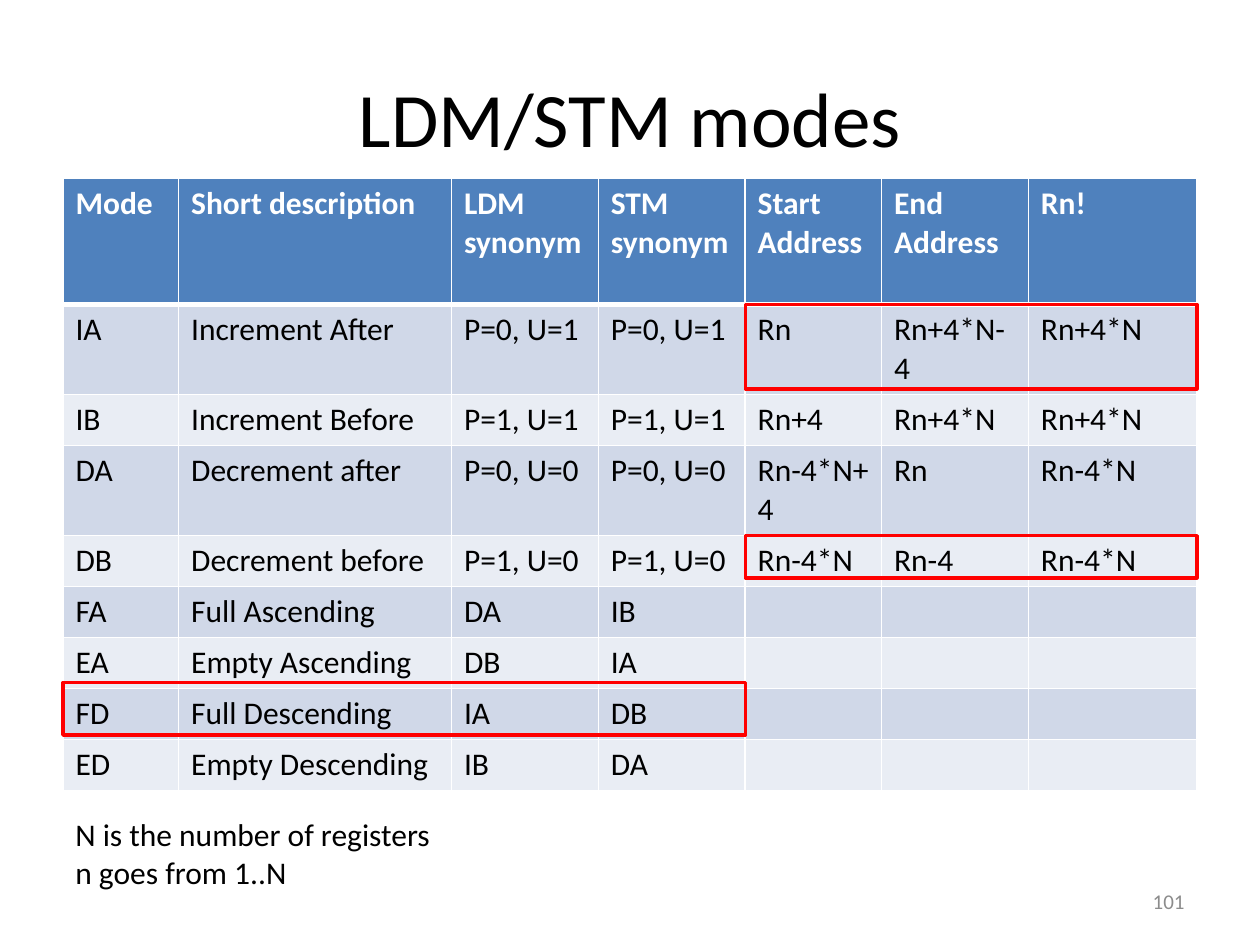
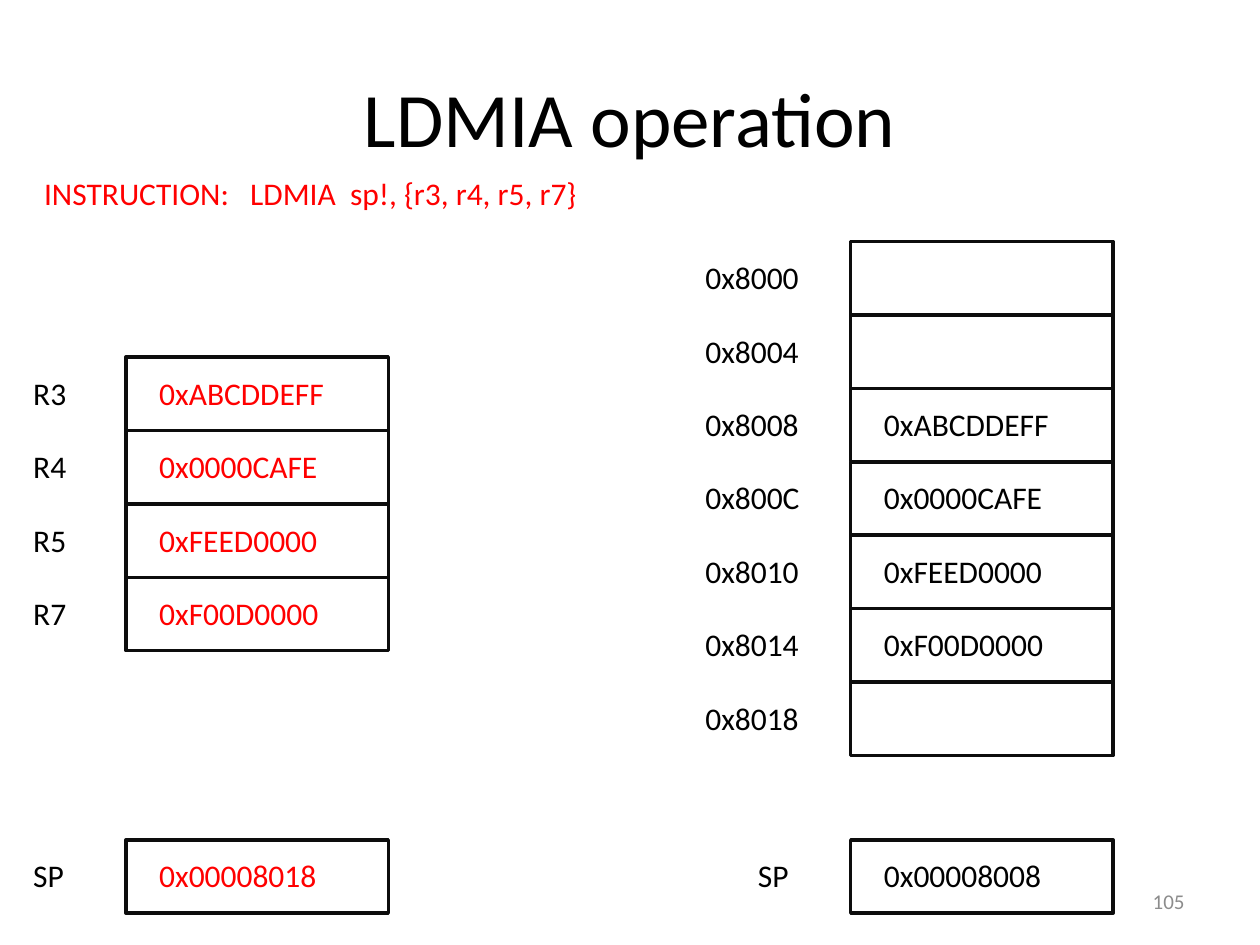
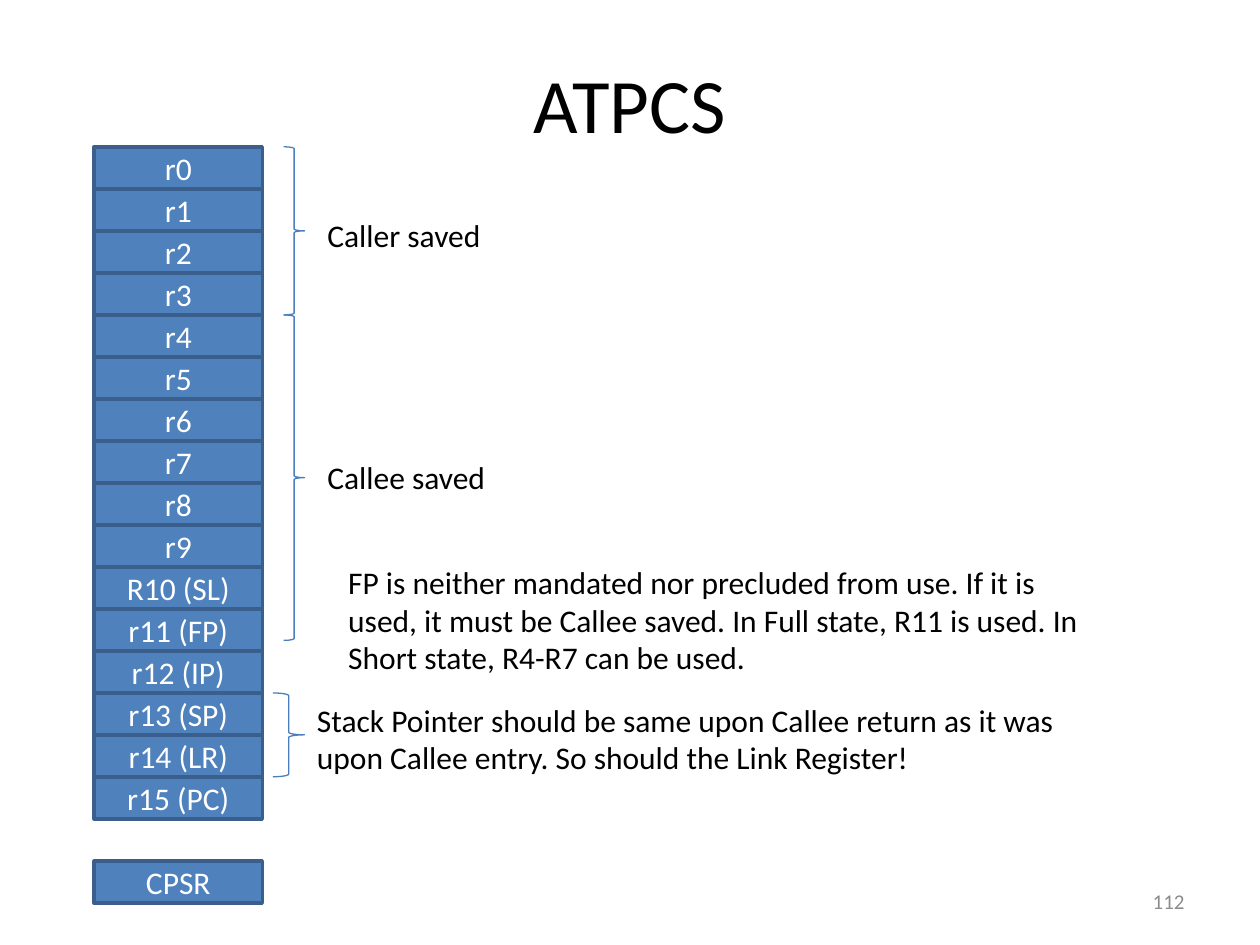
from dataclasses import dataclass

from lxml.etree import SubElement
from pptx import Presentation
from pptx.dml.color import RGBColor
from pptx.enum.shapes import MSO_SHAPE
from pptx.enum.text import MSO_ANCHOR, MSO_AUTO_SIZE, PP_ALIGN
from pptx.oxml.ns import qn
from pptx.util import Cm, Pt

FONT = "Calibri"
BLACK, WHITE, RED, GREY = "000000", "FFFFFF", "FF0000", "8C8C8C"
INK, BLUE, DARK_BLUE, BRACE_BLUE = "0D0D0D", "4F81BD", "3A5F8C", "4B7EBC"
BANDS = ("D0D8E8", "E9EDF4")
TITLE_ONLY = 5

LINE_H, TWO_LINES_H, THREE_LINES_H = 1.02, 1.8, 2.57
HEADER_H, ROW_H, WRAPPED_ROW_H = 2.54, 1.03, 1.81
CELL_W, CELL_H = 5.29, 1.48
REGISTER_W, REGISTER_H = 3.39, 2.54 / 3


@dataclass
class Box:
    """A rectangle on the slide, in centimetres."""
    left: float
    top: float
    width: float
    height: float

    def emu(self) -> tuple:
        return Cm(self.left), Cm(self.top), Cm(self.width), Cm(self.height)


@dataclass
class Bank:
    """A column of labelled words, registers or memory."""
    left: float
    top: float
    label_left: float
    label_width: float
    color: str
    words: list


@dataclass
class Note:
    text: str
    box: Box


COLUMN_WIDTHS = (2.33, 5.5, 2.96, 2.96, 2.75, 2.96, 3.4)
MODES = [
    ("Mode", "Short description", "LDM synonym", "STM synonym",
     "Start Address", "End Address", "Rn!"),
    ("IA", "Increment After", "P=0, U=1", "P=0, U=1", "Rn", "Rn+4*N-4", "Rn+4*N"),
    ("IB", "Increment Before", "P=1, U=1", "P=1, U=1", "Rn+4", "Rn+4*N", "Rn+4*N"),
    ("DA", "Decrement after", "P=0, U=0", "P=0, U=0", "Rn-4*N+4", "Rn", "Rn-4*N"),
    ("DB", "Decrement before", "P=1, U=0", "P=1, U=0", "Rn-4*N", "Rn-4", "Rn-4*N"),
    ("FA", "Full Ascending", "DA", "IB", "", "", ""),
    ("EA", "Empty Ascending", "DB", "IA", "", "", ""),
    ("FD", "Full Descending", "IA", "DB", "", "", ""),
    ("ED", "Empty Descending", "IB", "DA", "", "", ""),
]
WRAPPED_MODES = ("IA", "DA")
HIGHLIGHTS = [
    Box(1.27, 13.76, 13.76, 1.06),
    Box(15.03, 6.14, 9.1, 1.7),
    Box(15.03, 10.8, 9.1, 0.85),
]

WORDS = ["0xABCDDEFF", "0x0000CAFE", "0xFEED0000", "0xF00D0000"]
ADDRESSES = ["0x8000", "0x8004", "0x8008", "0x800C", "0x8010", "0x8014", "0x8018"]
BANKS = [
    Bank(2.54, 7.2, 0.42, 1.27, RED, list(zip(["R3", "R4", "R5", "R7"], WORDS))),
    Bank(2.54, 16.93, 0.42, 1.27, RED, [("SP", "0x00008018")]),
    Bank(17.15, 4.87, 13.97, 2.96, BLACK, list(zip(ADDRESSES, ["", "", *WORDS, ""]))),
    Bank(17.15, 16.93, 15.03, 1.27, BLACK, [("SP", "0x00008008")]),
]

REGISTERS = [f"r{i}" for i in range(10)] + [
    "R10 (SL)", "r11 (FP)", "r12 (IP)", "r13 (SP)", "r14 (LR)", "r15 (PC)"]
BRACES = [
    Box(5.72, 2.96, 0.42, 3.39),
    Box(5.72, 6.35, 0.42, 6.56),
    Box(5.5, 13.97, 0.64, 1.69),
]
NOTES = [
    Note("Caller saved", Box(6.35, 4.23, 5.93, LINE_H)),
    Note("Callee saved", Box(6.35, 9.1, 5.93, LINE_H)),
    Note("Stack Pointer should be same upon Callee return as it was upon "
         "Callee entry. So should the Link Register!",
         Box(6.14, 14.0, 15.88, TWO_LINES_H)),
    Note("FP is neither mandated nor precluded from use. If it is used, it must "
         "be Callee saved. In Full state, R11 is used. In Short state, R4-R7 can be used.",
         Box(6.77, 11.22, 15.88, THREE_LINES_H)),
]


def rgb(color: str) -> RGBColor:
    return RGBColor.from_string(color)


def write(tf, text: str, color: str = BLACK, size: int = 18,
          align=PP_ALIGN.LEFT, bold: bool = False) -> None:
    tf.text = text
    for p in tf.paragraphs:
        p.alignment = align
        for r in p.runs:
            r.font.name, r.font.size, r.font.bold = FONT, Pt(size), bold
            r.font.color.rgb = rgb(color)


def add_text(s, text: str, box: Box, color: str = BLACK, wrap: bool = True) -> None:
    tf = s.shapes.add_textbox(*box.emu()).text_frame
    tf.word_wrap = wrap
    tf.auto_size = MSO_AUTO_SIZE.SHAPE_TO_FIT_TEXT
    write(tf, text, color)


def add_outline(s, box: Box, line: str, width: float = 2,
                fill: str = "", kind=MSO_SHAPE.RECTANGLE):
    sp = s.shapes.add_shape(kind, *box.emu())
    sp.shadow.inherit = False
    sp.line.color.rgb = rgb(line)
    sp.line.width = Pt(width)
    if fill:
        sp.fill.solid()
        sp.fill.fore_color.rgb = rgb(fill)
    else:
        sp.fill.background()
    return sp


def add_slide(prs, title: str, number: int, title_height: float = 3.18):
    """Add a slide with its title and page number."""
    s = prs.slides.add_slide(prs.slide_layouts[TITLE_ONLY])
    sp = s.shapes.title
    sp.left, sp.top, sp.width, sp.height = Box(1.27, 0.76, 22.86, title_height).emu()
    sp.text_frame.vertical_anchor = MSO_ANCHOR.MIDDLE
    write(sp.text_frame, title, size=44, align=PP_ALIGN.CENTER)
    tf = s.shapes.add_textbox(*Box(18.2, 17.66, 5.93, 1.01).emu()).text_frame
    tf.word_wrap = True
    tf.vertical_anchor = MSO_ANCHOR.MIDDLE
    write(tf, str(number), GREY, 12, PP_ALIGN.RIGHT)
    return s


def set_borders(cell, bottom: float) -> None:
    """Draw white borders, 1 pt but for the bottom; call before filling the cell."""
    tc_pr = cell._tc.get_or_add_tcPr()
    for side, width in (("L", 1), ("R", 1), ("T", 1), ("B", bottom)):
        ln = SubElement(tc_pr, qn(f"a:ln{side}"), w=str(Pt(width)))
        SubElement(SubElement(ln, qn("a:solidFill")), qn("a:srgbClr"), val=WHITE)


def add_modes_table(s) -> None:
    box = Box(1.27, 3.6, sum(COLUMN_WIDTHS), 12.27)
    table = s.shapes.add_table(len(MODES), len(COLUMN_WIDTHS), *box.emu()).table
    for column, width in zip(table.columns, COLUMN_WIDTHS):
        column.width = Cm(width)
    for i, mode in enumerate(MODES):
        header = i == 0
        height = WRAPPED_ROW_H if mode[0] in WRAPPED_MODES else ROW_H
        table.rows[i].height = Cm(HEADER_H if header else height)
        for j, text in enumerate(mode):
            cell = table.cell(i, j)
            set_borders(cell, bottom=3 if header else 1)
            cell.fill.solid()
            cell.fill.fore_color.rgb = rgb(BLUE if header else BANDS[(i - 1) % 2])
            write(cell.text_frame, text, WHITE if header else BLACK, bold=header)


def add_bank(s, bank: Bank) -> None:
    for i, (label, word) in enumerate(bank.words):
        top = bank.top + i * CELL_H
        add_outline(s, Box(bank.left, top, CELL_W, CELL_H), INK)
        add_text(s, label, Box(bank.label_left, top + 0.21, bank.label_width, LINE_H))
        if word:
            add_text(s, word, Box(bank.left + 0.42, top + 0.21, 4.23, LINE_H), bank.color)


def add_register(s, name: str, top: float) -> None:
    sp = add_outline(s, Box(1.9, top, REGISTER_W, REGISTER_H), DARK_BLUE, fill=BLUE)
    sp.text_frame.vertical_anchor = MSO_ANCHOR.MIDDLE
    write(sp.text_frame, name, WHITE, align=PP_ALIGN.CENTER)


def build_modes(prs) -> None:
    s = add_slide(prs, "LDM/STM modes", 101)
    add_modes_table(s)
    add_text(s, "N is the number of registers\nn goes from 1..N",
             Box(1.27, 16.3, 7.75, TWO_LINES_H), wrap=False)
    for box in HIGHLIGHTS:
        add_outline(s, box, RED)


def build_ldmia(prs) -> None:
    s = add_slide(prs, "LDMIA operation", 105)
    add_text(s, "INSTRUCTION:   LDMIA  sp!, {r3, r4, r5, r7}",
             Box(0.64, 3.39, 23.7, LINE_H), RED)
    for bank in BANKS:
        add_bank(s, bank)


def build_atpcs(prs) -> None:
    s = add_slide(prs, "ATPCS", 112, title_height=2.62)
    for i, name in enumerate(REGISTERS):
        add_register(s, name, 2.96 + i * REGISTER_H)
    add_register(s, "CPSR", 17.36)
    for box in BRACES:
        add_outline(s, box, BRACE_BLUE, 0.75, kind=MSO_SHAPE.RIGHT_BRACE)
    for note in NOTES:
        add_text(s, note.text, note.box)


def main() -> None:
    prs = Presentation()
    prs.slide_width, prs.slide_height = Cm(25.4), Cm(19.05)
    build_modes(prs)
    build_ldmia(prs)
    build_atpcs(prs)
    prs.save("out.pptx")


if __name__ == "__main__":
    main()
